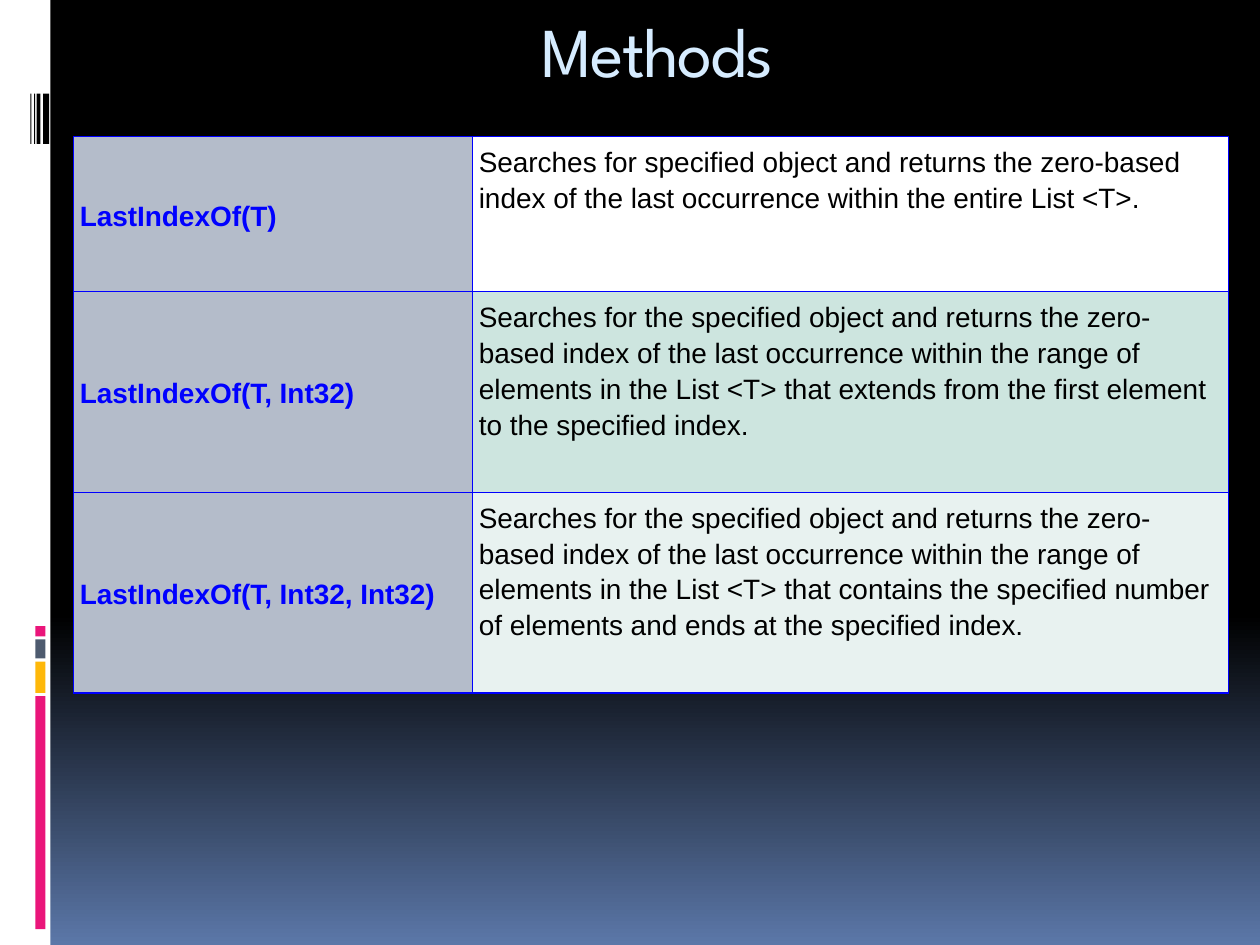
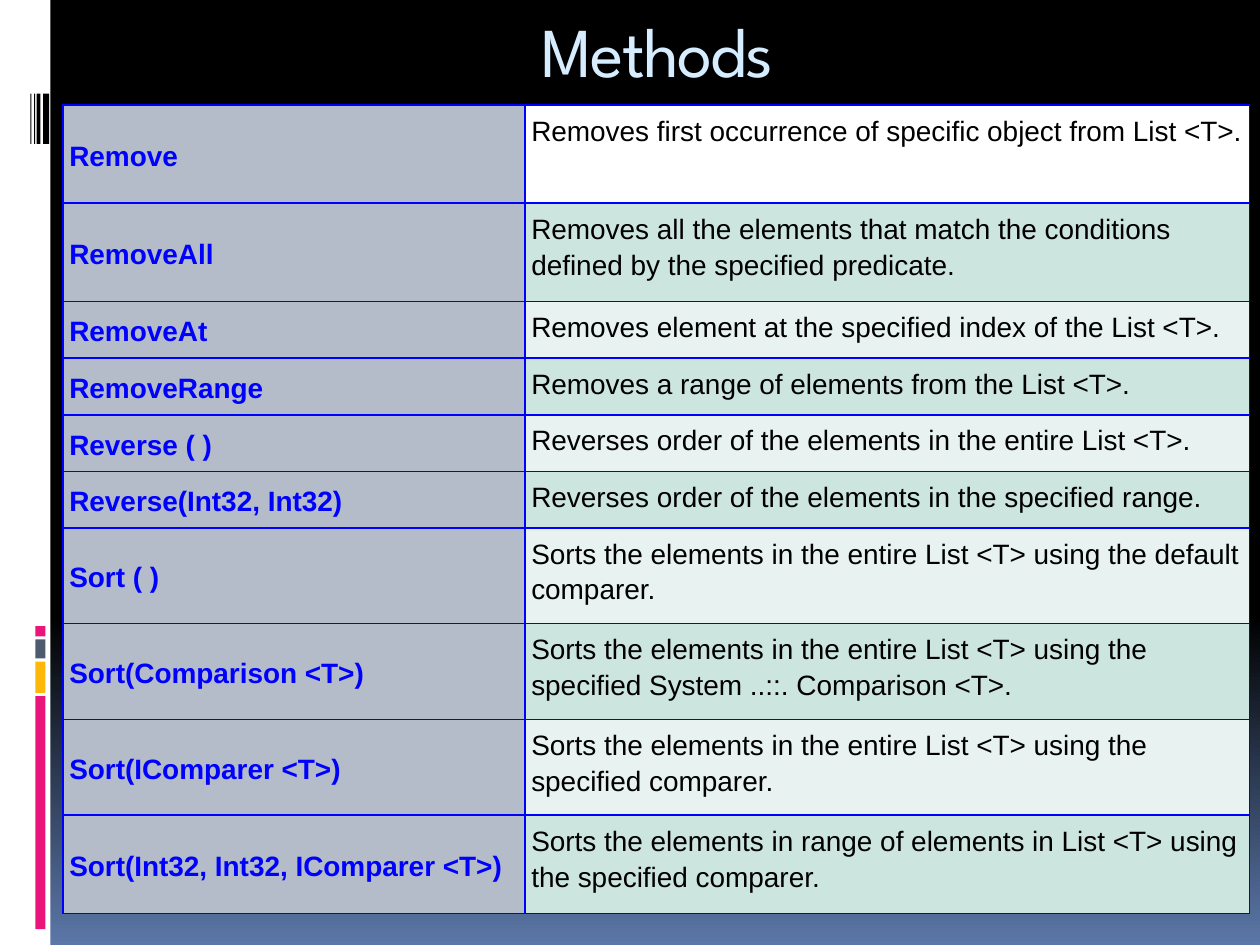
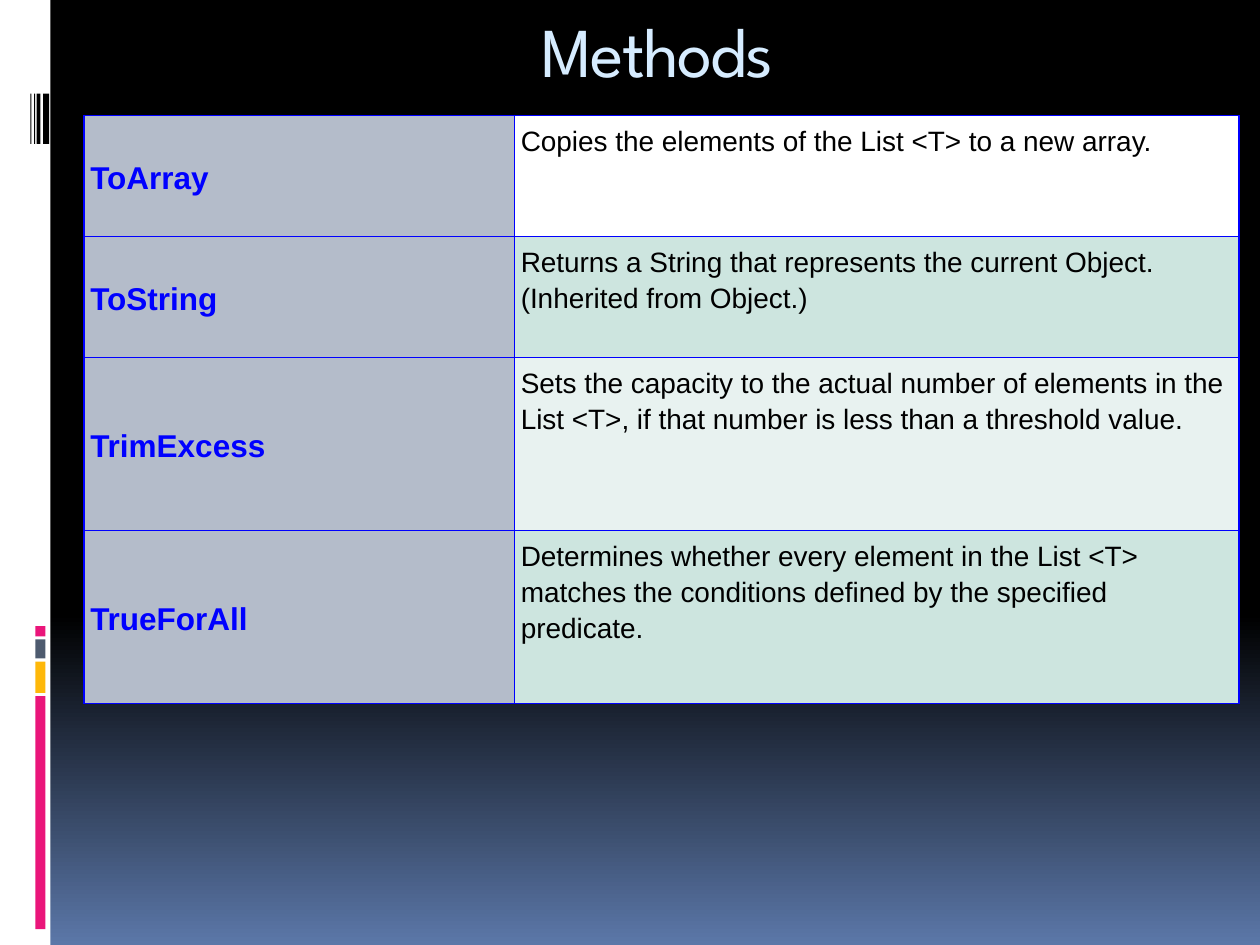
from copy import deepcopy
from itertools import cycle

from pptx import Presentation
from pptx import util as u
from pptx.dml.color import RGBColor
from pptx.enum import shapes, text
from pptx.oxml import ns, parse_xml

COLORS = {
    "black": "000000", "dusk": "5B77A8", "white": "FFFFFF", "pink": "EA157A",
    "amber": "FEB80A", "slate": "4E5B6F", "title": "D6ECFF", "blue": "0000FF",
    "method": "B4BCCA", "mint": "CDE5DF", "pale": "E8F2F0",
}
BODY_FONT, TITLE_FONT = "Arial", "League Spartan"
BODY_SIZE = 16

# Grid of 120 columns by 90 rows, square units
COLUMNS, ROWS = 120, 90
UNIT = u.Inches(10) // COLUMNS

SIDEBAR = (0, 0, 4.8, ROWS)
TITLE = (5, 0.12, 115.2, 8.28)

# Each page: table box, width of the method column, method text size,
# and rows of (relative height, method, description)
PAGES = [
    ((7, 13, 110, 53), 38, 16, [
        (1.23, "LastIndexOf(T)",
         "Searches for specified object and returns the zero-based index of the last "
         "occurrence within the entire List <T>."),
        (1.59, "LastIndexOf(T, Int32)",
         "Searches for the specified object and returns the zero-based index of the last "
         "occurrence within the range of elements in the List <T> that extends from the "
         "first element to the specified index."),
        (1.59, "LastIndexOf(T, Int32, Int32)",
         "Searches for the specified object and returns the zero-based index of the last "
         "occurrence within the range of elements in the List <T> that contains the "
         "specified number of elements and ends at the specified index."),
    ]),
    ((6, 10, 113, 77), 44, 16, [
        (0.78, "Remove", "Removes first occurrence of specific object from List <T>."),
        (0.78, "RemoveAll",
         "Removes all the elements that match the conditions defined by the specified "
         "predicate."),
        (0.45, "RemoveAt", "Removes element at the specified index of the List <T>."),
        (0.45, "RemoveRange", "Removes a range of elements from the List <T>."),
        (0.45, "Reverse ( )", "Reverses order of the elements in the entire List <T>."),
        (0.45, "Reverse(Int32, Int32)",
         "Reverses order of the elements in the specified range."),
        (0.76, "Sort ( )",
         "Sorts the elements in the entire List <T> using the default comparer."),
        (0.76, "Sort(Comparison <T>)",
         "Sorts the elements in the entire List <T> using the specified "
         "System ..::. Comparison <T>."),
        (0.76, "Sort(IComparer <T>)",
         "Sorts the elements in the entire List <T> using the specified comparer."),
        (0.78, "Sort(Int32, Int32, IComparer <T>)",
         "Sorts the elements in range of elements in List <T> using the specified comparer."),
    ]),
    ((8, 11, 110, 56), 41, 18, [
        (0.96, "ToArray", "Copies the elements of the List <T> to a new array."),
        (0.96, "ToString",
         "Returns a String that represents the current Object. (Inherited from Object.)"),
        (1.37, "TrimExcess",
         "Sets the capacity to the actual number of elements in the List <T>, if that "
         "number is less than a threshold value."),
        (1.37, "TrueForAll",
         "Determines whether every element in the List <T> matches the conditions "
         "defined by the specified predicate."),
    ]),
]


def rgb(name):
    return RGBColor.from_string(COLORS[name])


def on_grid(*lengths):
    return [round(length * UNIT) for length in lengths]


def style_font(paragraph, font, size, color, bold=False):
    for run in paragraph.runs:
        run.font.name, run.font.size, run.font.bold = font, u.Pt(size), bold
        run.font.color.rgb = rgb(color)


def set_background(master):
    fill = master.background.fill
    fill.gradient()
    fill.gradient_angle = 270
    stop_list = master.element.find(".//" + ns.qn("a:gsLst"))
    stop_list.insert(1, deepcopy(stop_list[0]))
    stops = [(0, "black"), (0.65, "black"), (1, "dusk")]
    for stop, (position, color) in zip(fill.gradient_stops, stops):
        stop.position = position
        stop.color.rgb = rgb(color)


def add_bar(slide, box, color):
    bar = slide.shapes.add_shape(shapes.MSO_SHAPE.RECTANGLE, *on_grid(*box))
    bar.shadow.inherit = False
    bar.fill.solid()
    bar.fill.fore_color.rgb = rgb(color)
    bar.line.fill.background()


def add_sidebar(slide, box):
    left, top, width, height = box
    add_bar(slide, box, "white")
    # Coloured stack, from top to bottom with equal gaps
    bar_top = top + 59.64
    for bar_height, color in [(0.96, "pink"), (1.8, "slate"), (3, "amber"), (22.2, "pink")]:
        add_bar(slide, (left + 3.36, bar_top, 0.96, bar_height), color)
        bar_top += bar_height + 0.3
    # Thin black stripes
    for stripe_left, stripe_width in [(4.1, 0.58), (3.5, 0.36), (3.24, 0.12), (2.88, 0.1)]:
        add_bar(slide, (left + stripe_left, top + 8.92, stripe_width, 4.8), "black")


def add_title(slide, box, wording):
    frame = slide.shapes.add_textbox(*on_grid(*box)).text_frame
    frame.word_wrap = True
    frame.text = wording
    heading = frame.paragraphs[0]
    heading.alignment = text.PP_ALIGN.CENTER
    style_font(heading, TITLE_FONT, 40, "title")
    heading.runs[0].font._element.set("spc", "-100")


def add_borders(cell):
    properties = cell._tc.get_or_add_tcPr()
    for side in "LRTB":
        properties.append(parse_xml(
            f'<a:ln{side} {ns.nsdecls("a")} w="12700"><a:solidFill>'
            f'<a:srgbClr val="{COLORS["blue"]}"/></a:solidFill></a:ln{side}>'))


def fill_cell(cell, wording, fill, size, color, bold):
    add_borders(cell)
    cell.fill.solid()
    cell.fill.fore_color.rgb = rgb(fill)
    cell.margin_left = cell.margin_right = u.Inches(0.05)
    cell.margin_top = cell.margin_bottom = u.Inches(0.05)
    cell.text_frame.text = wording
    paragraph = cell.text_frame.paragraphs[0]
    paragraph.line_spacing = 1.15
    paragraph.space_before = paragraph.space_after = u.Pt(3.8)
    style_font(paragraph, BODY_FONT, size, color, bold)


def add_method_table(slide, box, method_width, method_size, methods):
    width, height = box[2:]
    table = slide.shapes.add_table(len(methods), 2, *on_grid(*box)).table
    table.first_row = table.horz_banding = False
    table.columns[0].width, table.columns[1].width = on_grid(
        method_width, width - method_width)
    total = sum(share for share, _, _ in methods)
    bands = cycle(["mint", "pale"])
    for index, (share, method, description) in enumerate(methods):
        table.rows[index].height = on_grid(height * share / total)[0]
        band = next(bands) if index else "white"
        method_cell, description_cell = table.rows[index].cells
        fill_cell(method_cell, method, "method", method_size, "blue", True)
        method_cell.vertical_anchor = text.MSO_ANCHOR.MIDDLE
        fill_cell(description_cell, description, band, BODY_SIZE, "black", False)


def add_methods_slide(deck, page):
    slide = deck.slides.add_slide(deck.slide_layouts[6])
    add_sidebar(slide, SIDEBAR)
    add_title(slide, TITLE, "Methods")
    add_method_table(slide, *page)


def main():
    deck = Presentation()
    deck.slide_width, deck.slide_height = on_grid(COLUMNS, ROWS)
    set_background(deck.slide_master)
    for page in PAGES:
        add_methods_slide(deck, page)
    deck.save("out.pptx")


if __name__ == "__main__":
    main()
